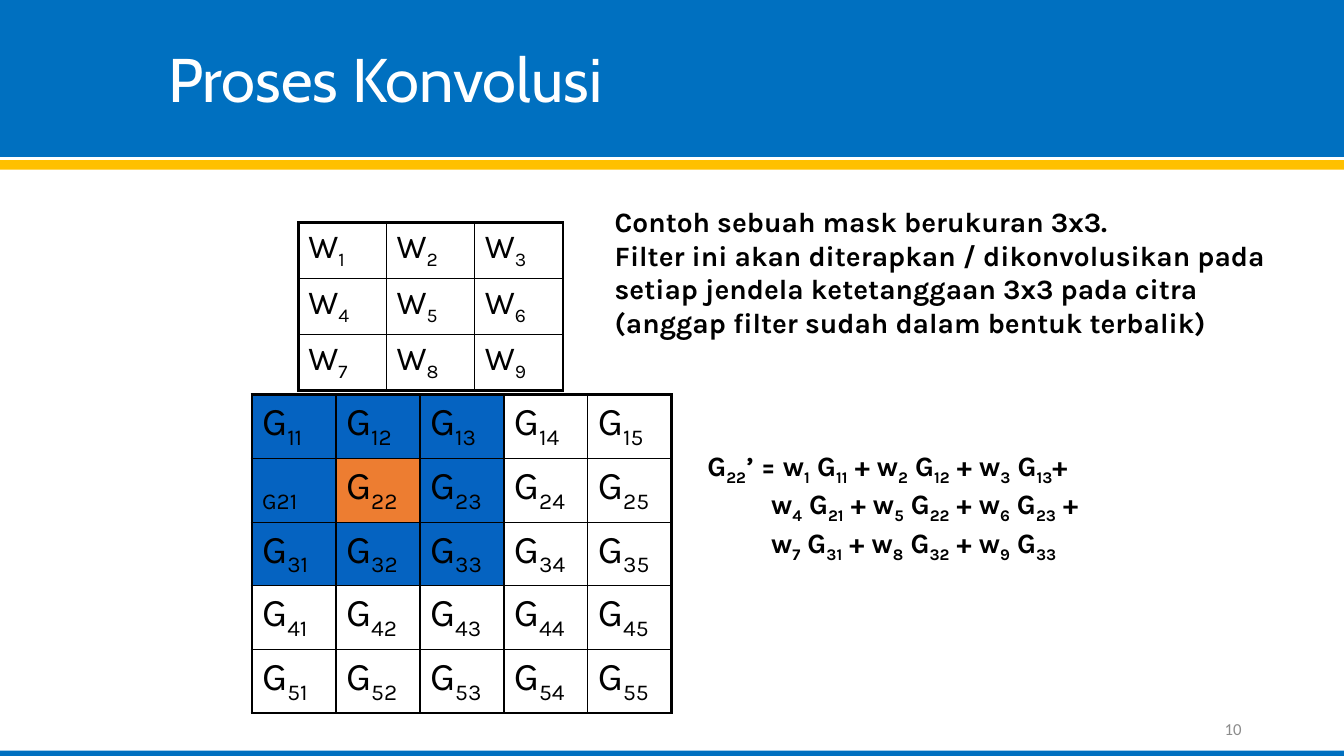
from dataclasses import dataclass
from lxml.etree import SubElement
from pptx import Presentation
from pptx.dml.color import RGBColor
from pptx.enum.shapes import MSO_SHAPE
from pptx.enum.text import MSO_ANCHOR, PP_ALIGN
from pptx.oxml.ns import qn
from pptx.util import Pt


@dataclass(frozen=True)
class Theme:
    blue: str = "0070C0"
    yellow: str = "FFC000"
    window: str = "0563C1"
    center: str = "ED7D31"
    white: str = "FFFFFF"
    black: str = "000000"
    gray: str = "8C8C8C"
    heading_font: str = "Cabin"
    body_font: str = "Karla"
    number_font: str = "Calibri"
    title_size: int = 44
    mask_size: int = 24
    image_size: int = 28
    body_size: int = 20
    number_size: int = 12


theme = Theme()


def add_spans(para, spans, size, color=theme.black, font=theme.body_font, bold=False):
    """Add (text, is_subscript) spans to a paragraph."""
    for text, is_subscript in spans:
        span = para.add_run()
        span.text = text
        span.font.size = Pt(size)
        span.font.name = font
        span.font.bold = bold
        span.font.color.rgb = RGBColor.from_string(color)
        if is_subscript:
            span.font._element.set("baseline", "-25000")


def add_text_box(left, top, width, height, anchor=MSO_ANCHOR.TOP):
    box = page.shapes.add_textbox(Pt(left), Pt(top), Pt(width), Pt(height))
    box.text_frame.word_wrap = True
    box.text_frame.vertical_anchor = anchor
    return box.text_frame


deck = Presentation()
deck.slide_width, deck.slide_height = Pt(960), Pt(540)
page = deck.slides.add_slide(deck.slide_layouts[6])

# Header and footer bands
for top, height, color in [
    (0, 112.2, theme.blue),
    (114.5, 6.7, theme.yellow),
    (536.2, 3.8, theme.blue),
]:
    band = page.shapes.add_shape(MSO_SHAPE.RECTANGLE, 0, Pt(top), Pt(960), Pt(height))
    band.shadow.inherit = False
    band.fill.solid()
    band.fill.fore_color.rgb = RGBColor.from_string(color)
    band.line.fill.background()

# Title
title = add_text_box(113, 13, 811.5, 92, MSO_ANCHOR.MIDDLE)
title.paragraphs[0].line_spacing = 0.9
add_spans(title.paragraphs[0], [("Proses Konvolusi", False)], theme.title_size,
          theme.white, theme.heading_font)

# Mask and image tables
mask_labels = [[f"{3 * row + column + 1}" for column in range(3)] for row in range(3)]
image_labels = [[f"{row}{column}" for column in range(1, 6)] for row in range(1, 6)]
window_fills = {label: theme.window for row in image_labels[:3] for label in row[:3]}
window_fills["22"] = theme.center

for letter, labels, left, top, column_width, row_height, size, fills in [
    ("W", mask_labels, 213.1, 159, 63, 38.6, theme.mask_size, {}),
    ("G", image_labels, 180, 282, 60, 45.4, theme.image_size, window_fills),
]:
    count = len(labels)
    grid = page.shapes.add_table(count, count, Pt(left), Pt(top),
                                 Pt(column_width * count), Pt(row_height * count)).table
    grid.first_row = grid.horz_banding = False
    for index in range(count):
        grid.columns[index].width = Pt(column_width)
        grid.rows[index].height = Pt(row_height)
    for row in range(count):
        for column in range(count):
            cell, label = grid.cell(row, column), labels[row][column]
            # The label of G21 is a subscript throughout
            spans = [(letter, letter + label == "G21"), (label, True)]
            add_spans(cell.text_frame.paragraphs[0], spans, size)
            # Thick outer edges, thin inner ones
            properties = cell._tc.get_or_add_tcPr()
            for side, is_outer in [("L", column == 0), ("R", column == count - 1),
                                   ("T", row == 0), ("B", row == count - 1)]:
                width = Pt(2.25 if is_outer else 1)
                edge = SubElement(properties, qn(f"a:ln{side}"), w=str(int(width)))
                SubElement(SubElement(edge, qn("a:solidFill")), qn("a:srgbClr"),
                           val=theme.black)
            cell.fill.solid()
            cell.fill.fore_color.rgb = RGBColor.from_string(fills.get(label, theme.white))

# Explanation
explanation = add_text_box(432, 142.5, 511, 104.5)
for index, text in enumerate([
    "Contoh sebuah mask berukuran 3x3.",
    "Filter ini akan diterapkan / dikonvolusikan pada setiap jendela ketetanggaan "
    "3x3 pada citra (anggap filter sudah dalam bentuk terbalik)",
]):
    para = explanation.add_paragraph() if index else explanation.paragraphs[0]
    add_spans(para, [(text, False)], theme.body_size, bold=True)

# Convolution formula, one paragraph per mask row
formula = add_text_box(498.2, 317, 415, 80)
for row, ending in enumerate(["+", " +", ""]):
    para = formula.add_paragraph() if row else formula.paragraphs[0]
    spans = [] if row else [("G", False), ("22", True), ("’ = ", False)]
    if row:
        para._p.get_or_add_pPr().set("marL", str(int(Pt(45.5))))
    for column in range(3):
        spans += [(" + w" if column else "w", False), (mask_labels[row][column], True),
                  (" G", False), (image_labels[row][column], True)]
    if ending:
        spans.append((ending, False))
    add_spans(para, spans, theme.body_size, bold=True)

# Slide number
number = add_text_box(678, 506, 216, 28.8, MSO_ANCHOR.MIDDLE)
number.paragraphs[0].alignment = PP_ALIGN.RIGHT
add_spans(number.paragraphs[0], [("10", False)], theme.number_size,
          theme.gray, theme.number_font)

deck.save("out.pptx")
